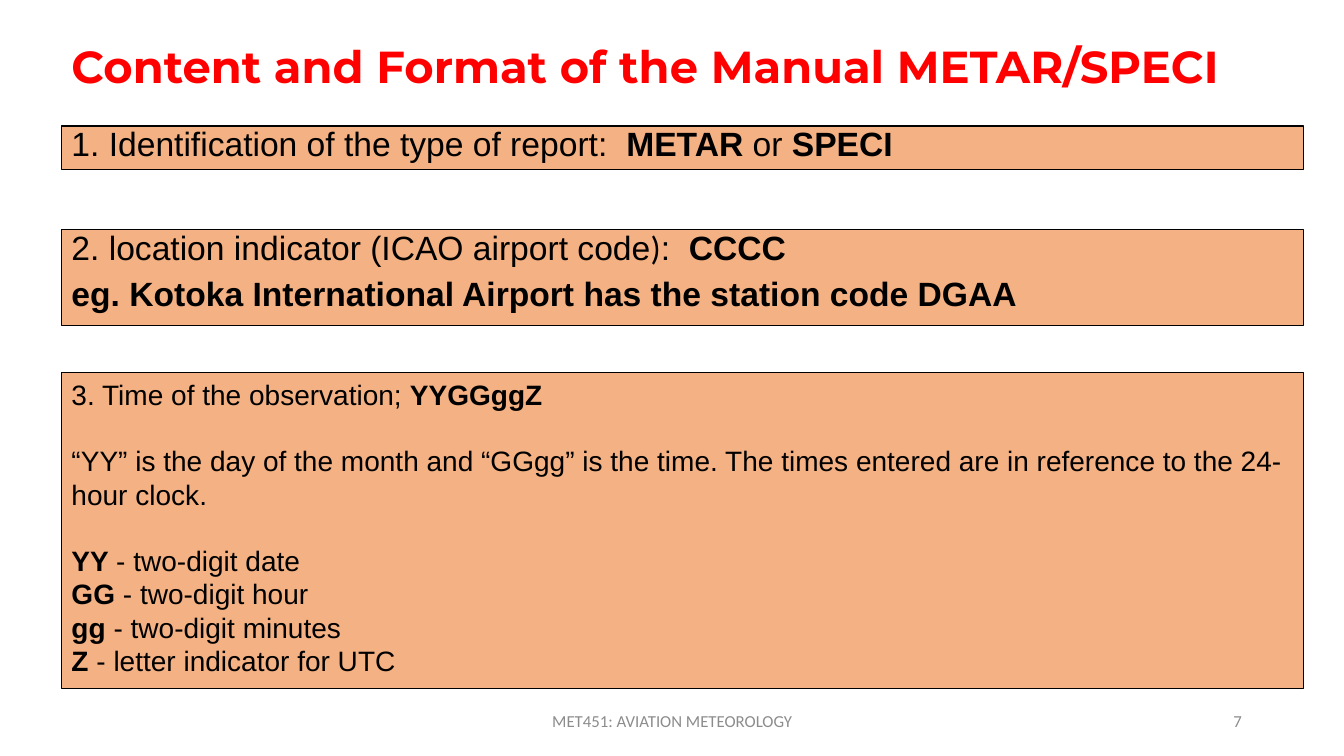
from pptx import Presentation, util as u
from pptx.dml.color import RGBColor
from pptx.enum import shapes, text

COLOURS = {"title": "FF0000", "ink": "000000", "panel": "F4B183", "footer": "8C8C8C"}
LEFT, PANEL_WIDTH = 4.58, 92.4
FOOTER_TOP, FOOTER_HEIGHT = 92.67, 5.33


def colour(name):
    return RGBColor.from_string(COLOURS[name])


class ReportPage:
    """Places text and panels on a grid of 100 columns by 100 rows."""

    def __init__(self, deck):
        self.page = deck.slides.add_slide(deck.slide_layouts[6])
        self.column = deck.slide_width / 100
        self.row = deck.slide_height / 100

    def area(self, left, top, width, height):
        return (int(left * self.column), int(top * self.row),
                int(width * self.column), int(height * self.row))

    def fill_text(self, box, lines, size, font="Arial", ink="ink", spacing=1.0, gaps=None,
                  align=text.PP_ALIGN.LEFT, anchor=text.MSO_ANCHOR.TOP):
        """Fill a box with lines of (wording, bold, font) parts.

        gaps maps line numbers to the points of space before them.
        """
        frame = box.text_frame
        frame.word_wrap = True
        frame.vertical_anchor = anchor
        gaps = gaps or {}
        for number, line in enumerate(lines):
            para = frame.paragraphs[0] if number == 0 else frame.add_paragraph()
            para.alignment = align
            para.line_spacing = spacing
            para.space_before = u.Pt(gaps.get(number, 0))
            for wording, bold, face in line:
                span = para.add_run()
                span.text = wording
                span.font.name = face or font
                span.font.size = u.Pt(size)
                span.font.bold = bold
                span.font.color.rgb = colour(ink)

    def label(self, place, line, size, font, ink, **layout):
        box = self.page.shapes.add_textbox(*self.area(*place))
        self.fill_text(box, [line], size, font, ink, **layout)

    def panel(self, top, height, lines, size, **layout):
        place = self.area(LEFT, top, PANEL_WIDTH, height)
        box = self.page.shapes.add_shape(shapes.MSO_SHAPE.RECTANGLE, *place)
        box.shadow.inherit = False
        box.fill.solid()
        box.fill.fore_color.rgb = colour("panel")
        box.line.color.rgb = colour("ink")
        box.line.width = u.Pt(0.75)
        self.fill_text(box, lines, size, **layout)


def plain(wording, font=None):
    return wording, False, font


def strong(wording):
    return wording, True, None


def main():
    deck = Presentation()
    deck.slide_width, deck.slide_height = u.Inches(13.33), u.Inches(7.5)
    report = ReportPage(deck)

    report.label((LEFT, 5.33, 93.3, 7.6),
                 [strong("Content and Format of the Manual METAR/SPECI")],
                 32, "Montserrat", "title", spacing=0.9)

    report.panel(16.67, 5.73, [
        [plain("1. Identification of the type of report:  "), strong("METAR "),
         plain("or "), strong("SPECI")],
    ], 24, spacing=0.8, gaps={0: 10})

    report.panel(30.4, 12.67, [
        [plain("2. location indicator (ICAO airport code"), plain(")", "Calibri"),
         plain(":  "), strong("CCCC")],
        [strong("eg. Kotoka International Airport has the station code DGAA")],
    ], 24, spacing=0.8, gaps={0: 10, 1: 10})

    codes = {"YY": "two-digit date", "GG": "two-digit hour",
             "gg": "two-digit minutes", "Z": "letter indicator for UTC"}
    report.panel(49.33, 41.73, [
        [plain("3. Time of the observation; "), strong("YYGGggZ")],
        [plain("“YY” is the day of the month and “GGgg” is the time. "
               "The times entered are in reference to the 24-hour clock.")],
        *([strong(f"{code} "), plain(f"- {meaning}")] for code, meaning in codes.items()),
    ], 20, gaps={1: 23, 2: 23})

    middle = text.MSO_ANCHOR.MIDDLE
    for left, width, wording, align in (
            (33.15, 33.75, "MET451: AVIATION METEOROLOGY", text.PP_ALIGN.CENTER),
            (70.65, 22.5, "7", text.PP_ALIGN.RIGHT)):
        report.label((left, FOOTER_TOP, width, FOOTER_HEIGHT), [plain(wording)],
                     12, "Calibri", "footer", align=align, anchor=middle)

    deck.save("out.pptx")


if __name__ == "__main__":
    main()
